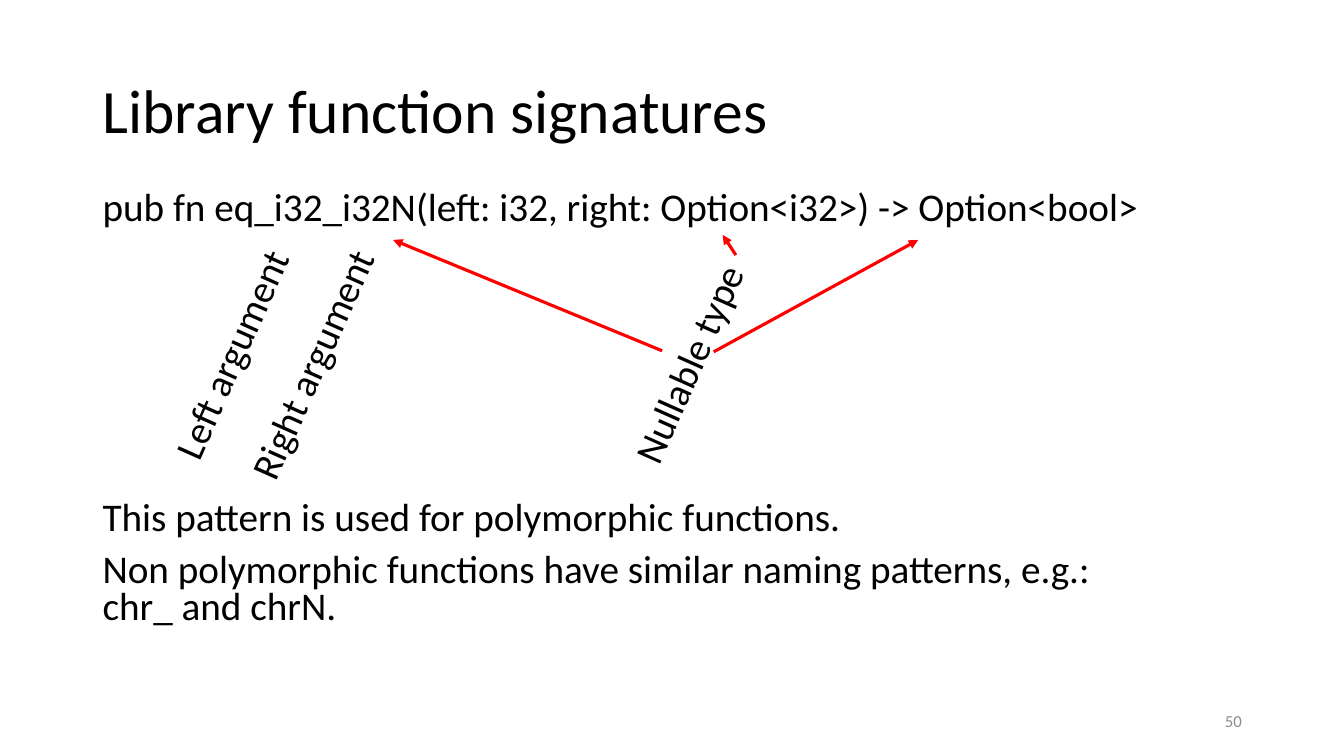
from lxml import etree
from pptx import Presentation
from pptx.dml.color import RGBColor
from pptx.enum import shapes, text
from pptx.oxml import ns
from pptx.util import Pt


def color(value):
    return RGBColor.from_string(value)


def apply(target, values):
    for name, value in values.items():
        setattr(target, name, value)


class SlideBuilder:
    font_name = "Calibri"
    text_color = "000000"
    arrow_color = "FF0000"
    arrow_width = 2.25

    def __init__(self, slide):
        self.slide = slide

    def text_box(self, lines, box, size=28, fill=None, frame_format=None, **paragraph_format):
        shape = self.slide.shapes.add_textbox(*map(Pt, box))
        frame = shape.text_frame
        apply(frame, {"word_wrap": True, **(frame_format or {})})
        for index, line in enumerate(lines):
            paragraph = frame.add_paragraph() if index else frame.paragraphs[0]
            paragraph.text = line
            apply(paragraph, paragraph_format)
            if index:
                paragraph.space_before = Pt(10)
            apply(paragraph.font, {"name": self.font_name, "size": Pt(size)})
            paragraph.font.color.rgb = color(fill or self.text_color)
        return shape

    def tilted_label(self, label, left, top, width):
        frame_format = {"word_wrap": False, "auto_size": text.MSO_AUTO_SIZE.SHAPE_TO_FIT_TEXT}
        shape = self.text_box([label], (left, top, width, 41), frame_format=frame_format)
        shape.rotation = 293.9

    def arrow(self, *points):
        connector = self.slide.shapes.add_connector(
            shapes.MSO_CONNECTOR.STRAIGHT, *map(Pt, points))
        connector.line.color.rgb = color(self.arrow_color)
        connector.line.width = Pt(self.arrow_width)
        line = connector.line._get_or_add_ln()
        etree.SubElement(line, ns.qn("a:tailEnd"), type="triangle")
        etree.SubElement(connector._element.spPr, ns.qn("a:effectLst"))


def main():
    presentation = Presentation()
    apply(presentation, {"slide_width": Pt(960), "slide_height": Pt(540)})
    builder = SlideBuilder(presentation.slides.add_slide(presentation.slide_layouts[6]))
    middle = {"vertical_anchor": text.MSO_ANCHOR.MIDDLE}

    builder.text_box(["Library function signatures"], (66.2, 28.8, 828, 104.4),
                     size=44, frame_format=middle, line_spacing=0.9)
    builder.text_box(["pub fn eq_i32_i32N(left: i32, right: Option<i32>) -> Option<bool>"],
                     (66.2, 133.2, 828, 40), line_spacing=0.8)
    builder.text_box(["This pattern is used for polymorphic functions.",
                      "Non polymorphic functions have similar naming patterns, e.g.:\vchr_ and chrN."],
                     (66.2, 354.6, 828, 138), line_spacing=0.8)

    for label in (("Left argument", 77, 231.1, 176.4),
                  ("Right argument", 126.7, 238.3, 192.2),
                  ("Nullable type", 408.2, 238.3, 167)):
        builder.tilted_label(*label)

    for points in ((473, 250.6, 280.8, 171.4),
                   (525.6, 182.2, 516.2, 167.8),
                   (509.8, 251.3, 655.9, 171.4)):
        builder.arrow(*points)

    builder.text_box(["50"], (678.2, 500.4, 216, 28.8), size=12, fill="8C8C8C",
                     frame_format=middle, alignment=text.PP_ALIGN.RIGHT)
    presentation.save("out.pptx")


if __name__ == "__main__":
    main()
